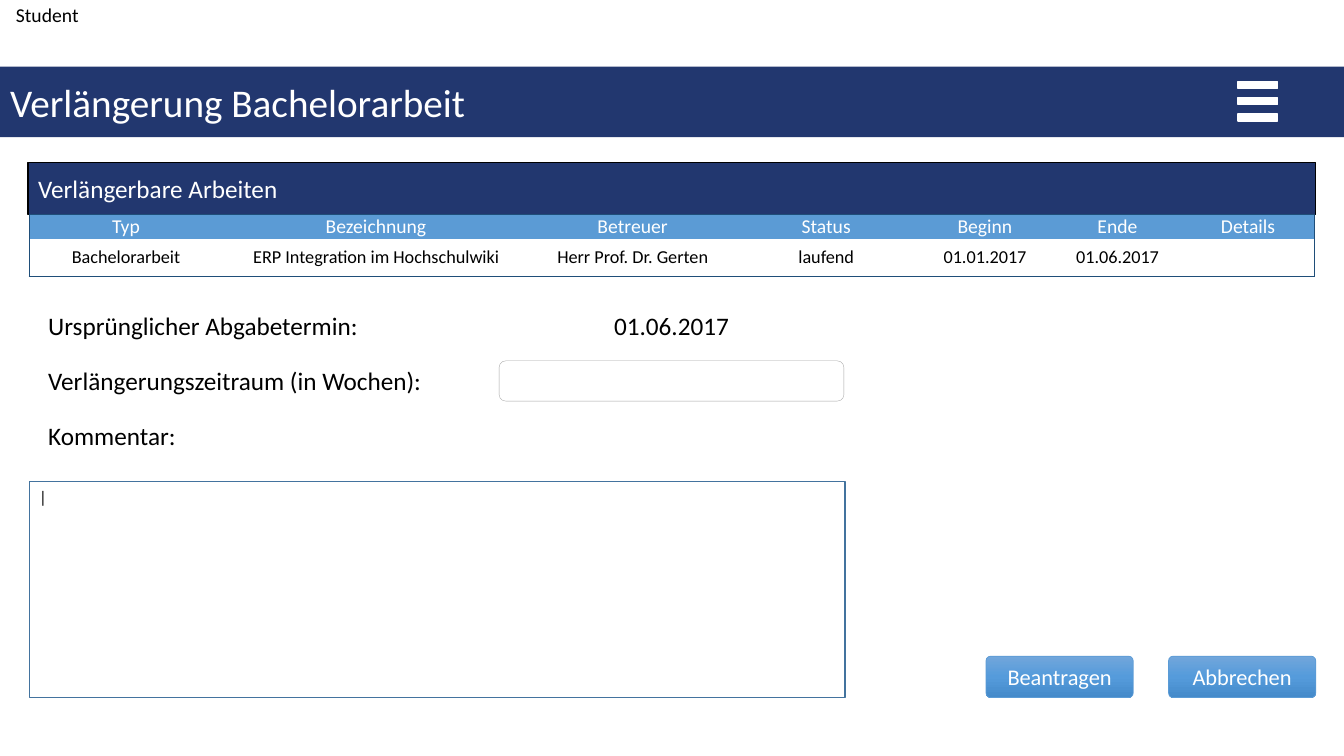
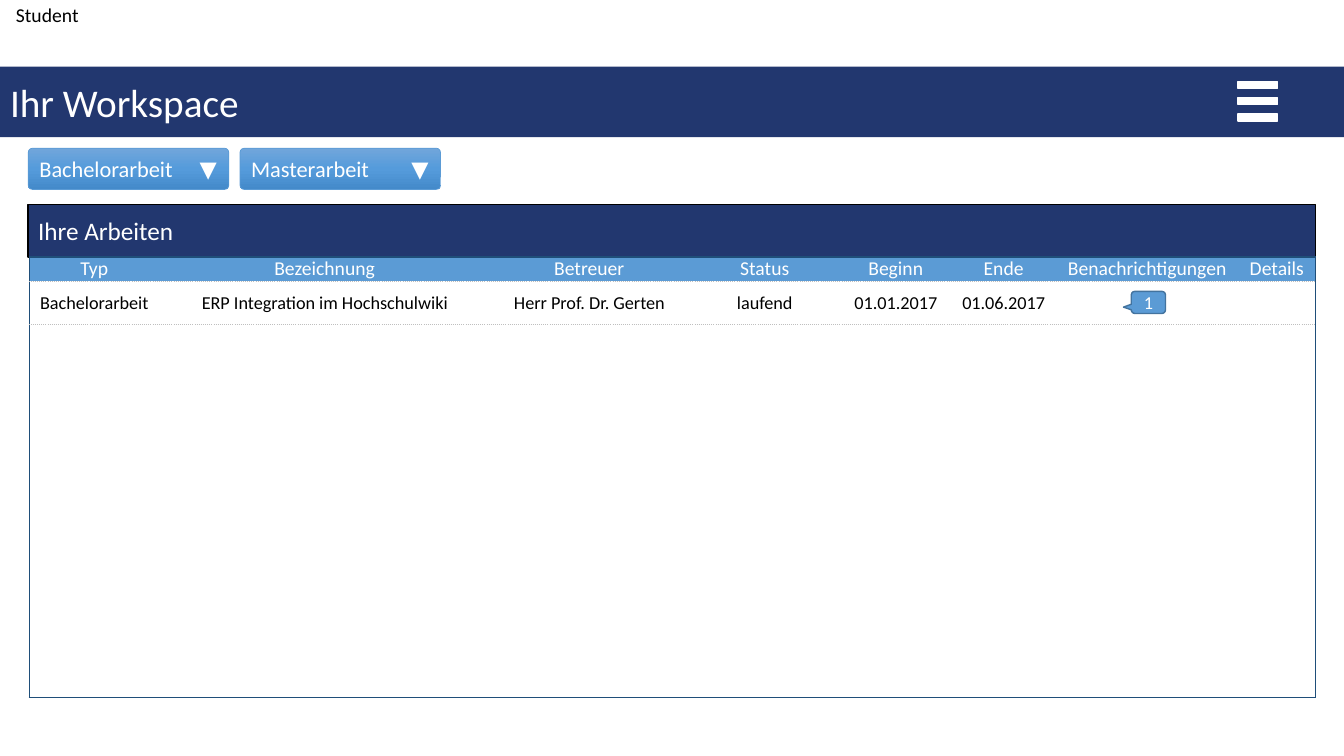
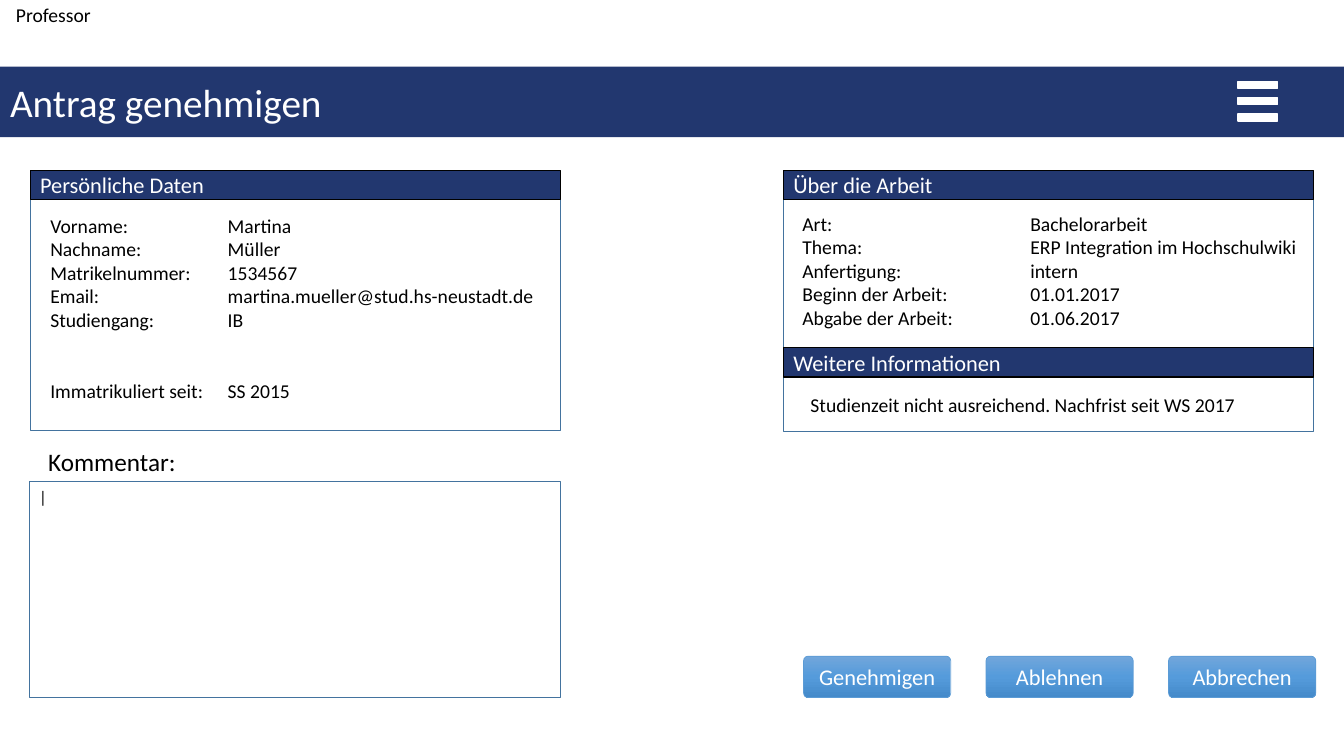
from lxml import etree
from pptx import Presentation
from pptx.dml.color import RGBColor
from pptx.enum.shapes import MSO_SHAPE as SHAPE
from pptx.enum.text import MSO_ANCHOR as ANCHOR, MSO_AUTO_SIZE, PP_ALIGN as ALIGN
from pptx.oxml.ns import qn
from pptx.util import Emu, Inches, Pt

W, H = 13.33, 7.5
LEFT, RIGHT = 0.29, 13.05
FONT = "Calibri"
NAVY, BLUE, FRAME, EDGE = "22376F", "5B9BD5", "43739E", "1F4E79"
WHITE, BLACK, GREY, DOTS = "FFFFFF", "000000", "A6A6A6", "BFBFBF"
BUTTON_STOPS = [(0, "71A6DB"), (50, "559BDB"), (100, "448ACA")]
BUTTON_W, BUTTON_H, BUTTON_STEP, BUTTON_Y = 1.46, 0.41, 1.81, 6.51
LINE_PT = 17.1  # one line of 14 pt text

THESIS = ["Bachelorarbeit", "ERP Integration im Hochschulwiki", "Herr Prof. Dr. Gerten",
          "laufend", "01.01.2017", "01.06.2017"]
EXTENDABLE = {
    "title": "Verlängerbare Arbeiten",
    "cols": [("Typ", 1.92), ("Bezeichnung", 3.04), ("Betreuer", 2.05), ("Status", 1.79),
             ("Beginn", 1.36), ("Ende", 1.27), ("Details", 1.32)],
    "rows": [(THESIS, 0.37)],
}
WORKSPACE = {
    "title": "Ihre Arbeiten",
    "cols": [("Typ", 1.29), ("Bezeichnung", 3.28), ("Betreuer", 1.97), ("Status", 1.51),
             ("Beginn", 1.09), ("Ende", 1.05), ("Benachrichtigungen", 1.8), ("Details", 0.77)],
    "rows": [(THESIS, 0.43), ([], 3.7)],
}
PERSON = [("Vorname:", "Martina"), ("Nachname:", "Müller"), ("Matrikelnummer:", "1534567"),
          ("Email:", "martina.mueller@stud.hs-neustadt.de"), ("Studiengang:", "IB"),
          ("Immatrikuliert seit:", "SS 2015")]
WORK = [("Art:", "Bachelorarbeit"), ("Thema:", "ERP Integration im Hochschulwiki"),
        ("Anfertigung:", "intern"), ("Beginn der Arbeit:", "01.01.2017"),
        ("Abgabe der Arbeit:", "01.06.2017")]


def rgb(color):
    return RGBColor.from_string(color)


def write(tf, text, size=14, color=BLACK, align=ALIGN.LEFT, last_gap=0):
    """Fill a text frame, one paragraph a line; last_gap is points above the last one."""
    lines = text.split("\n")
    for i, line in enumerate(lines):
        p = tf.add_paragraph() if i else tf.paragraphs[0]
        p.alignment = align
        if last_gap and i == len(lines) - 1:
            p.space_before = Pt(last_gap)
        r = p.add_run()
        r.text = line
        r.font.name, r.font.size, r.font.color.rgb = FONT, Pt(size), rgb(color)


def label(s, at, text, **fmt):
    tf = s.shapes.add_textbox(*map(Inches, at)).text_frame
    tf.word_wrap = True
    write(tf, text, **fmt)


def box(shapes, at, text="", kind=SHAPE.RECTANGLE, fill=WHITE, line=None, width=1,
        anchor=ANCHOR.MIDDLE, **fmt):
    sp = shapes.add_shape(kind, *map(Inches, at))
    sp.shadow.inherit = False
    sp.fill.solid()
    sp.fill.fore_color.rgb = rgb(fill)
    if line:
        sp.line.color.rgb, sp.line.width = rgb(line), Pt(width)
    else:
        sp.line.fill.background()
    if text:
        sp.text_frame.vertical_anchor = anchor
        write(sp.text_frame, text, **fmt)
    return sp


def bar(s, at, text, size):
    box(s.shapes, at, text, fill=NAVY, line=BLACK, size=size, color=WHITE)


def button(s, x, y, text, w=BUTTON_W, align=ALIGN.CENTER):
    sp = box(s.shapes, (x, y, w, BUTTON_H), text, SHAPE.ROUNDED_RECTANGLE, line=BLUE, width=0.5,
             size=16, color=WHITE, align=align)
    sp.adjustments[0] = 0.107
    sp.fill.gradient()
    sp.fill.gradient_angle = 270
    stops = next(sp._element.iter(qn("a:gsLst")))
    for stop in list(stops):
        stops.remove(stop)
    for pos, color in BUTTON_STOPS:
        stop = etree.SubElement(stops, qn("a:gs"), pos=str(pos * 1000))
        etree.SubElement(stop, qn("a:srgbClr"), val=color)
    return sp


def button_row(s, names):
    """Buttons along the bottom, the last one ending at the right margin."""
    for i, name in enumerate(reversed(names)):
        button(s, RIGHT - BUTTON_W - i * BUTTON_STEP, BUTTON_Y, name)


def dropdown(s, x, text):
    sp = button(s, x, 1.47, text + "\t▼", w=1.99, align=ALIGN.LEFT)
    tabs = etree.SubElement(sp.text_frame.paragraphs[0]._p.get_or_add_pPr(), qn("a:tabLst"))
    etree.SubElement(tabs, qn("a:tab"), pos=str(Inches(1.76)), algn="r")


def border(cell, side, color=None, width=1, dash="solid"):
    ln = etree.SubElement(cell._tc.get_or_add_tcPr(), qn("a:ln" + side),
                          w=str(Pt(width) if color else 0))
    if not color:
        etree.SubElement(ln, qn("a:noFill"))
        return
    fill = etree.SubElement(ln, qn("a:solidFill"))
    etree.SubElement(fill, qn("a:srgbClr"), val=color)
    etree.SubElement(ln, qn("a:prstDash"), val=dash)


def thesis_table(s, y, data, dotted=False):
    """Navy heading bar with the list of theses below it."""
    bar(s, (0.28, y, 12.77, 0.52), data["title"], 18)
    names, widths = zip(*data["cols"])
    rows = [(names, 0.24)] + data["rows"]
    height = sum(h for _, h in rows)
    tbl = s.shapes.add_table(len(rows), len(names), Inches(LEFT), Inches(y + 0.52),
                             Inches(RIGHT - LEFT), Inches(height)).table
    tbl.first_row = tbl.horz_banding = False
    for col, w in zip(tbl.columns, widths):
        col.width = Inches(w)
    outer, none = (EDGE,), ()
    inner = (DOTS, 0.5, "sysDot") if dotted else none
    last_row, last_col = len(rows) - 1, len(names) - 1
    for i, (values, h) in enumerate(rows):
        tbl.rows[i].height = Inches(h)
        for j in range(len(names)):
            cell = tbl.cell(i, j)
            cell.margin_top = cell.margin_bottom = 0
            cell.vertical_anchor = ANCHOR.MIDDLE
            border(cell, "L", *(none if j else outer))
            border(cell, "R", *(outer if j == last_col else none))
            border(cell, "T", *(inner if i else outer))
            border(cell, "B", *(outer if i == last_row else inner))
            if i:
                cell.fill.background()
            else:
                cell.fill.solid()
                cell.fill.fore_color.rgb = rgb(BLUE)
            if j < len(values):
                write(cell.text_frame, values[j], size=13 if i else 14,
                      color=BLACK if i else WHITE, align=ALIGN.CENTER)


def panel(s, x, y, h, title):
    """White framed panel of height h under a navy heading."""
    box(s.shapes, (x, y + 0.29, 5.26, h), line=FRAME)
    bar(s, (x, y, 5.26, 0.29), title, 16)


def pairs(s, y, h, columns, fields, last_gap=0):
    for (x, w), texts in zip(columns, zip(*fields)):
        label(s, (x, y, w, h), "\n".join(texts), last_gap=last_gap)


def comment(s, label_y, w):
    label(s, (0.38, label_y, 1.64, 0.4), "Kommentar:", size=18)
    box(s.shapes, (LEFT, 4.78, w, 2.14), "|", line=FRAME, anchor=ANCHOR.TOP, size=12)


def new_slide(prs, title, role):
    """Slide with title band, menu icon and the role of the user."""
    s = prs.slides.add_slide(prs.slide_layouts[5])
    band = s.shapes.title
    band.left, band.top, band.width, band.height = map(Inches, (0, 0.66, W, 0.7))
    band.fill.solid()
    band.fill.fore_color.rgb = rgb(NAVY)
    band.text_frame.auto_size = MSO_AUTO_SIZE.NONE
    band.text_frame.vertical_anchor = ANCHOR.MIDDLE
    write(band.text_frame, title, size=28, color=WHITE)
    menu = s.shapes.add_group_shape()
    box(menu.shapes, (12.27, 0.8, 0.41, 0.41), fill=NAVY)
    for i in range(3):
        box(menu.shapes, (12.28, 0.81 + i * 0.16, 0.39, 0.07), line=WHITE)
    label(s, (0.06, -0.02, 1.43, 0.34), role)
    return s


def extension_slide(prs):
    s = new_slide(prs, "Verlängerung Bachelorarbeit", "Student")
    thesis_table(s, 1.61, EXTENDABLE)
    label(s, (0.38, 3.03, 3.29, 0.4), "Ursprünglicher Abgabetermin:", size=18)
    box(s.shapes, (4.95, 3.03, 3.42, 0.4), "01.06.2017", SHAPE.ROUNDED_RECTANGLE,
        size=18, align=ALIGN.CENTER)
    label(s, (0.38, 3.58, 3.96, 0.4), "Verlängerungszeitraum (in Wochen):", size=18)
    box(s.shapes, (4.95, 3.58, 3.42, 0.4), kind=SHAPE.ROUNDED_RECTANGLE, line=GREY, width=0.25)
    comment(s, 4.12, 8.09)
    button_row(s, ["Beantragen", "Abbrechen"])


def workspace_slide(prs):
    s = new_slide(prs, "Ihr Workspace", "Student")
    thesis_table(s, 2.03, WORKSPACE, dotted=True)
    for i, name in enumerate(["Bachelorarbeit", "Masterarbeit"]):
        dropdown(s, 0.28 + i * 2.1, name)
    badge = box(s.shapes, (11.22, 2.89, 0.34, 0.22), "1", SHAPE.ROUNDED_RECTANGULAR_CALLOUT,
                fill=BLUE, line=FRAME, size=13, color=WHITE, align=ALIGN.CENTER)
    for i, value in enumerate((-0.727, 0.213, 0.167)):
        badge.adjustments[i] = value


def approval_slide(prs):
    s = new_slide(prs, "Antrag genehmigen", "Professor")
    panel(s, 0.3, 1.69, 2.29, "Persönliche Daten")
    pairs(s, 2.07, 1.99, [(0.4, 2.19), (2.16, 3.41)], PERSON, last_gap=2 * LINE_PT)
    panel(s, 7.77, 1.69, 1.47, "Über die Arbeit")
    pairs(s, 2.05, 1.28, [(7.86, 2.19), (10.12, 2.91)], WORK)
    panel(s, 7.77, 3.45, 0.54, "Weitere Informationen")
    label(s, (7.94, 3.85, 4.65, 0.34), "Studienzeit nicht ausreichend. Nachfrist seit WS 2017")
    comment(s, 4.38, 5.27)
    button_row(s, ["Genehmigen", "Ablehnen", "Abbrechen"])


def main():
    prs = Presentation()
    prs.slide_width, prs.slide_height = Emu(Inches(W)), Emu(Inches(H))
    extension_slide(prs)
    workspace_slide(prs)
    approval_slide(prs)
    prs.save("out.pptx")


if __name__ == "__main__":
    main()
